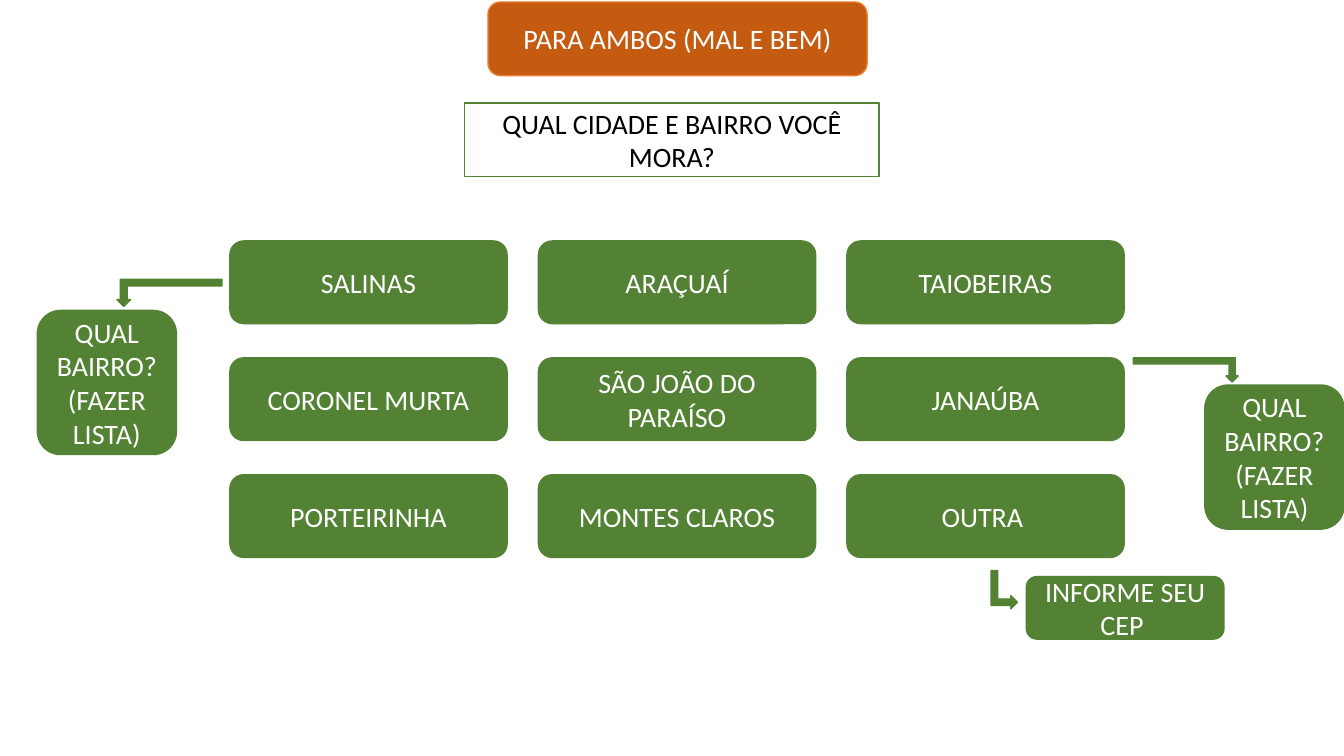
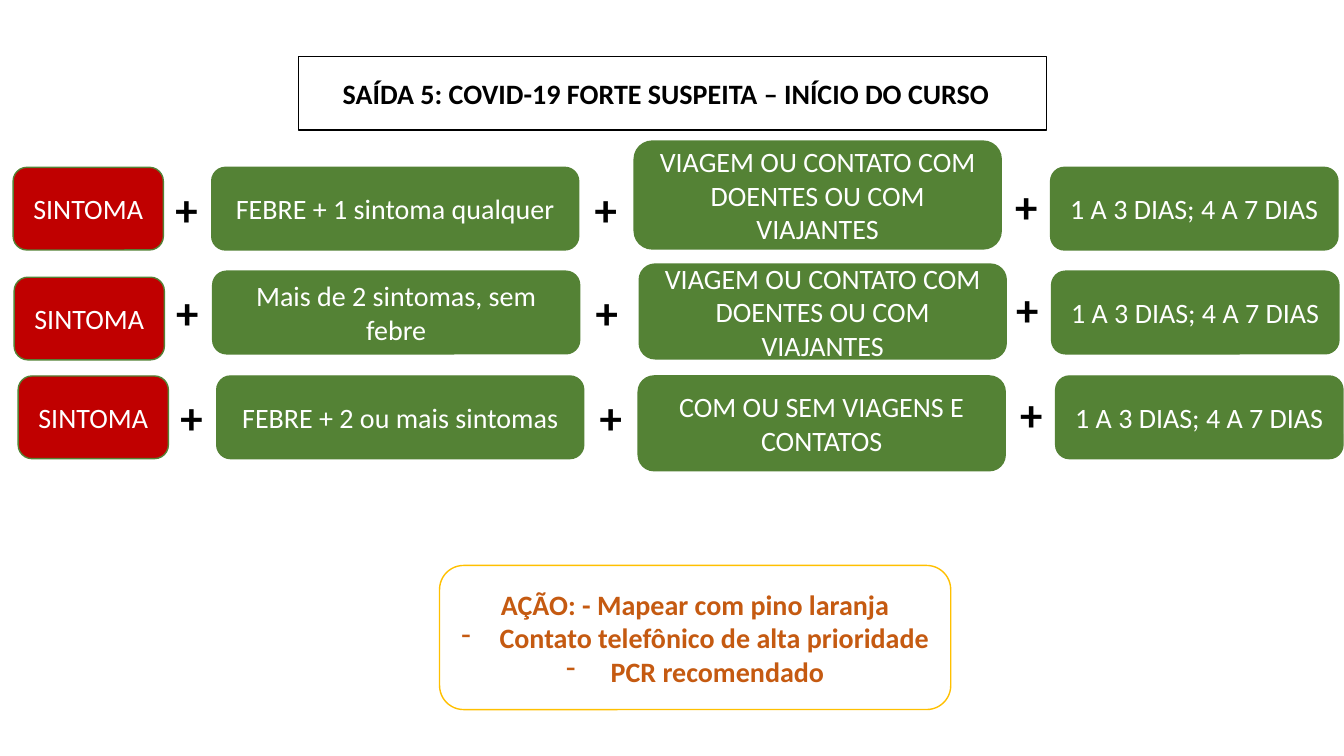
import pptx
import pptx.dml.color
import pptx.enum.shapes
import pptx.enum.text
import pptx.util
from lxml import etree
from pptx.oxml.ns import qn
from pptx.util import Inches

FONT = "Calibri"
WHITE, BLACK = "FFFFFF", "000000"
GREEN, RED, ORANGE = "548235", "C00000", "C55A11"
ORANGE_EDGE, YELLOW = "ED7D31", "FFC000"
SHAPES = pptx.enum.shapes.MSO_SHAPE
CENTER = pptx.enum.text.PP_ALIGN.CENTER
LEFT = pptx.enum.text.PP_ALIGN.LEFT


def rgb(color):
    return pptx.dml.color.RGBColor.from_string(color)


def paint(shape, fill, line):
    shape.fill.solid()
    shape.fill.fore_color.rgb = rgb(fill)
    shape.line.color.rgb = rgb(line)
    shape.line.width = pptx.util.Pt(1)


def write(frame, text, size=20, color=WHITE, bold=False, align=CENTER):
    """Fill the frame with one paragraph per line of text."""
    for index, line in enumerate(text.split("\n")):
        para = frame.add_paragraph() if index else frame.paragraphs[0]
        para.alignment = align
        span = para.add_run()
        span.text = line
        span.font.name = FONT
        span.font.size = pptx.util.Pt(size)
        span.font.bold = bold
        span.font.color.rgb = rgb(color)


def add_preset(slide, preset, left, top, width, height, fill=GREEN, line=GREEN):
    shape = slide.shapes.add_shape(
        preset, Inches(left), Inches(top), Inches(width), Inches(height))
    shape.shadow.inherit = False
    paint(shape, fill, line)
    return shape


def add_box(slide, text, left, top, width, height=0.82, fill=GREEN, line=GREEN, **text_format):
    box = add_preset(slide, SHAPES.FLOWCHART_ALTERNATE_PROCESS,
                     left, top, width, height, fill, line)
    box.text_frame.word_wrap = True
    box.text_frame.vertical_anchor = pptx.enum.text.MSO_ANCHOR.MIDDLE
    write(box.text_frame, text, **text_format)
    return box


def add_arrow(slide, left, top, width, height, rotation=0, flip=False):
    arrow = add_preset(slide, SHAPES.BENT_UP_ARROW, left, top, width, height)
    arrow.rotation = rotation
    if flip:
        arrow._element.spPr.find(qn("a:xfrm")).set("flipV", "1")


def add_plus(slide, left, top):
    box = slide.shapes.add_textbox(Inches(left), Inches(top), Inches(0.43), Inches(0.64))
    box.text_frame.word_wrap = False
    write(box.text_frame, "+", size=32, color=BLACK, bold=True, align=LEFT)


def add_dash(para):
    """Give the paragraph a hanging dash bullet."""
    properties = para._p.get_or_add_pPr()
    indent = Inches(0.38)
    properties.set("marL", str(indent))
    properties.set("indent", str(-indent))
    etree.SubElement(properties, qn("a:buFontTx"))
    etree.SubElement(properties, qn("a:buChar")).set("char", "-")


def add_titled_slide(deck, text, left, top, width, line, bold=False):
    """Add a slide whose title sits in a rounded, outlined box."""
    slide = deck.slides.add_slide(deck.slide_layouts[5])
    title = slide.shapes.title
    title.left, title.top = Inches(left), Inches(top)
    title.width, title.height = Inches(width), Inches(0.73)
    outline = etree.Element(qn("a:prstGeom"), prst="flowChartAlternateProcess")
    etree.SubElement(outline, qn("a:avLst"))
    title._element.spPr.find(qn("a:xfrm")).addnext(outline)
    paint(title, WHITE, line)
    frame = title.text_frame
    frame.word_wrap = True
    frame.auto_size = pptx.enum.text.MSO_AUTO_SIZE.NONE
    frame.vertical_anchor = pptx.enum.text.MSO_ANCHOR.MIDDLE
    write(frame, text, color=BLACK, bold=bold)
    return slide


def build_cities(deck):
    slide = add_titled_slide(deck, "QUAL CIDADE E BAIRRO VOCÊ MORA?", 4.61, 1.02, 4.11, GREEN)
    add_box(slide, "PARA AMBOS (MAL E BEM)", 4.84, 0.02, 3.76, 0.73, ORANGE, ORANGE_EDGE)
    cities = (
        ("SALINAS", "ARAÇUAÍ", "TAIOBEIRAS"),
        ("CORONEL MURTA", "SÃO JOÃO DO PARAÍSO", "JANAÚBA"),
        ("PORTEIRINHA", "MONTES CLAROS", "OUTRA "),
    )
    for row, names in enumerate(cities):
        for column, name in enumerate(names):
            add_box(slide, name, 2.28 + 3.06 * column, 2.39 + 1.16 * row, 2.75)
    for left, top in ((0.37, 3.08), (11.95, 3.82)):
        add_box(slide, "QUAL BAIRRO?\n(FAZER LISTA)", left, top, 1.38, 1.43)
    add_box(slide, "INFORME SEU CEP ", 10.18, 5.72, 1.96, 0.62)
    add_arrow(slide, 1.16, 2.77, 1.04, 0.27, rotation=180)
    add_arrow(slide, 11.24, 3.55, 1.04, 0.24, flip=True)
    add_arrow(slide, 9.77, 5.72, 0.38, 0.26, rotation=90)


def build_strong_suspicion(deck):
    slide = add_titled_slide(deck, "SAÍDA 5: COVID-19 FORTE SUSPEITA – INÍCIO DO CURSO  ",
                             2.96, 0.56, 7.42, BLACK, bold=True)
    travel = "VIAGEM OU CONTATO COM DOENTES OU COM VIAJANTES"
    # row left, row top, symptom top, symptoms, contact, contact left, top and height
    rows = (
        (0.13, 1.66, 1.66, "FEBRE + 1 sintoma qualquer", travel, 6.29, 1.4, 1.07),
        (0.14, 2.69, 2.75, "Mais de 2 sintomas, sem febre", travel, 6.34, 2.62, 0.94),
        (0.18, 3.73, 3.73, "FEBRE + 2 ou mais sintomas",
         "COM OU SEM VIAGENS E CONTATOS", 6.33, 3.73, 0.94),
    )
    for left, top, symptom_top, symptoms, contact, *contact_place in rows:
        contact_left, contact_top, contact_height = contact_place
        add_box(slide, "SINTOMA", left, symptom_top, 1.49, fill=RED)
        add_box(slide, symptoms, left + 1.97, top, 3.64)
        add_box(slide, contact, contact_left, contact_top, 3.64, contact_height)
        add_box(slide, "1 A 3 DIAS; 4 A 7 DIAS", left + 10.29, top, 2.85)
        for offset, drop in ((1.51, 0.09), (5.67, 0.09), (9.84, 0.06)):
            add_plus(slide, left + offset, top + drop)
    action = add_box(
        slide,
        "AÇÃO: - Mapear com pino laranja\nContato telefônico de alta prioridade\n PCR recomendado",
        4.36, 5.61, 5.07, 1.43, WHITE, YELLOW, color=ORANGE, bold=True)
    for para in action.text_frame.paragraphs[1:]:
        add_dash(para)


def main():
    deck = pptx.Presentation()
    deck.slide_width, deck.slide_height = Inches(13.33), Inches(7.5)
    build_cities(deck)
    build_strong_suspicion(deck)
    deck.save("out.pptx")


if __name__ == "__main__":
    main()
